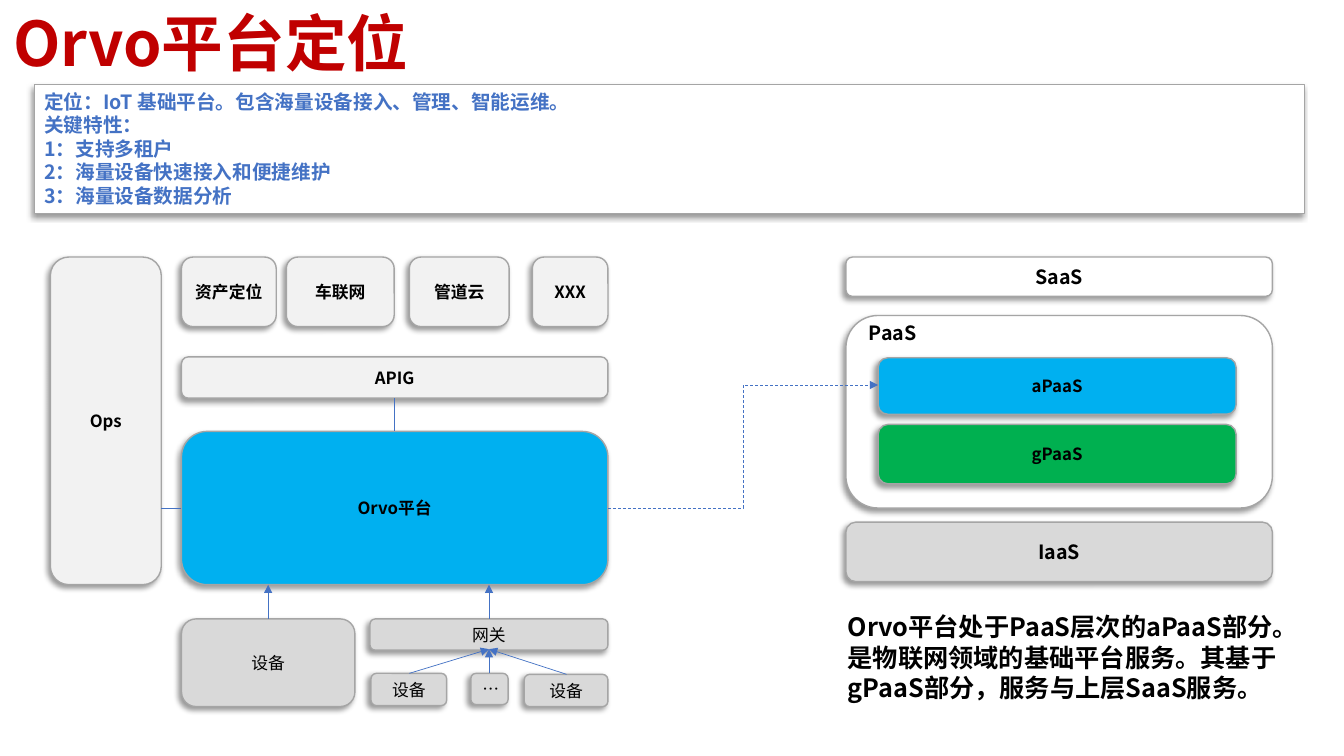
from lxml import etree
from pptx import Presentation
from pptx.dml.color import RGBColor
from pptx.enum.dml import MSO_LINE
from pptx.enum.shapes import MSO_CONNECTOR, MSO_SHAPE
from pptx.enum.text import MSO_ANCHOR, PP_ALIGN
from pptx.oxml import parse_xml
from pptx.oxml.ns import nsdecls, qn
from pptx.util import Pt

PX = 9144
FONT = "Noto Sans CJK SC"
BLACK = RGBColor(0, 0, 0)
WHITE = RGBColor(0xFF, 0xFF, 0xFF)
RED = RGBColor(0xC0, 0, 0)
BLUE = RGBColor(0x44, 0x72, 0xC4)
CYAN = RGBColor(0, 0xB0, 0xF0)
GREEN = RGBColor(0, 0xB0, 0x50)
PALE = RGBColor(0xF2, 0xF2, 0xF2)
LIGHT = RGBColor(0xD9, 0xD9, 0xD9)
EDGE = RGBColor(0xA5, 0xA5, 0xA5)
SHADOW = (
    f'<a:effectLst {nsdecls("a")}><a:outerShdw blurRad="50800" dist="38100" '
    'dir="8100000" algn="tr" rotWithShape="0"><a:srgbClr val="000000">'
    '<a:alpha val="40000"/></a:srgbClr></a:outerShdw></a:effectLst>'
)


def write(sp, text, size, color=BLACK, bold=True, align=PP_ALIGN.LEFT, anchor=MSO_ANCHOR.TOP):
    tf = sp.text_frame
    tf.text = text
    tf.word_wrap = True
    tf.vertical_anchor = anchor
    for p in tf.paragraphs:
        p.alignment = align
        p.line_spacing = Pt(size * 1.2)
        p.space_before = Pt(0)
        for r in p.runs:
            r.font.size = Pt(size)
            r.font.bold = bold
            r.font.name = FONT
            r.font.color.rgb = color
            rPr = r.font._element
            rPr.set("lang", "zh-CN")
            etree.SubElement(rPr, qn("a:ea")).set("typeface", FONT)


def add_box(kind, box, fill):
    sp = s.shapes.add_shape(kind, *[v * PX for v in box])
    sp.fill.solid()
    sp.fill.fore_color.rgb = fill
    sp.line.color.rgb = EDGE
    sp.line.width = Pt(1)
    sp._element.spPr.append(parse_xml(SHADOW))
    return sp


prs = Presentation()
prs.slide_width = 1333 * PX
prs.slide_height = 750 * PX
s = prs.slides.add_slide(prs.slide_layouts[5])

title = s.shapes.title
title.left, title.top, title.width, title.height = 3 * PX, 0, 1341 * PX, 84 * PX
write(title, "Orvo平台定位", 44, RED)

summary = add_box(MSO_SHAPE.RECTANGLE, (34, 84, 1260, 128), WHITE)
write(summary, "\n".join([
    "定位：IoT 基础平台。包含海量设备接入、管理、智能运维。",
    "关键特性：",
    "1：支持多租户",
    "2：海量设备快速接入和便捷维护",
    "3：海量设备数据分析",
]), 14, BLUE)

boxes = [
    ("", (839, 313, 423, 191), WHITE, 14, True),
    ("SaaS", (839, 255, 423, 39), WHITE, 14, True),
    ("aPaaS", (871, 355, 355, 56), CYAN, 12, True),
    ("gPaaS", (871, 421, 355, 59), GREEN, 12, True),
    ("IaaS", (839, 518, 423, 59), LIGHT, 14, True),
    ("Ops", (50, 255, 110, 325), PALE, 12, True),
    ("资产定位", (180, 255, 94, 69), PALE, 12, True),
    ("车联网", (284, 255, 107, 69), PALE, 12, True),
    ("管道云", (406, 255, 99, 69), PALE, 12, True),
    ("XXX", (528, 255, 75, 69), PALE, 12, True),
    ("APIG", (180, 354, 423, 41), PALE, 12, True),
    ("Orvo平台", (180, 428, 423, 152), CYAN, 12, True),
    ("设备", (180, 614, 172, 87), LIGHT, 12, False),
    ("网关", (367, 614, 236, 31), LIGHT, 12, False),
    ("设备", (368, 668, 75, 32), LIGHT, 12, False),
    ("…", (467, 668, 37, 31), LIGHT, 12, False),
    ("设备", (520, 669, 83, 32), LIGHT, 12, False),
]
for text, box, fill, size, bold in boxes:
    sp = add_box(MSO_SHAPE.ROUNDED_RECTANGLE, box, fill)
    if text:
        write(sp, text, size, BLACK, bold, PP_ALIGN.CENTER, MSO_ANCHOR.MIDDLE)

notes = [
    ("PaaS", (852, 313, 105, 34), 14),
    ("Orvo平台处于PaaS层次的aPaaS部分。是物联网领域的基础平台服务。其基于gPaaS部分，服务与上层SaaS服务。",
     (831, 602, 474, 101), 18),
]
for text, box, size in notes:
    write(s.shapes.add_textbox(*[v * PX for v in box]), text, size)

links = [
    ((391, 395, 391, 428), False),
    ((180, 504, 160, 504), False),
    ((266, 614, 266, 580), True),
    ((485, 614, 485, 580), True),
    ((406, 668, 485, 644), True),
    ((485, 668, 485, 644), True),
    ((562, 669, 485, 644), True),
    ((603, 504, 871, 382), True),
]
for ends, arrow in links:
    x1, y1, x2, y2 = ends
    bent = x2 - x1 > 200
    kind = MSO_CONNECTOR.ELBOW if bent else MSO_CONNECTOR.STRAIGHT
    cx = s.shapes.add_connector(kind, *[v * PX for v in ends])
    cx.line.color.rgb = BLUE
    cx.line.width = Pt(0.5)
    if bent:
        cx.line.dash_style = MSO_LINE.DASH
    if arrow:
        etree.SubElement(cx.line._get_or_add_ln(), qn("a:tailEnd")).set("type", "triangle")
    etree.SubElement(cx._element.spPr, qn("a:effectLst"))

prs.save("out.pptx")
